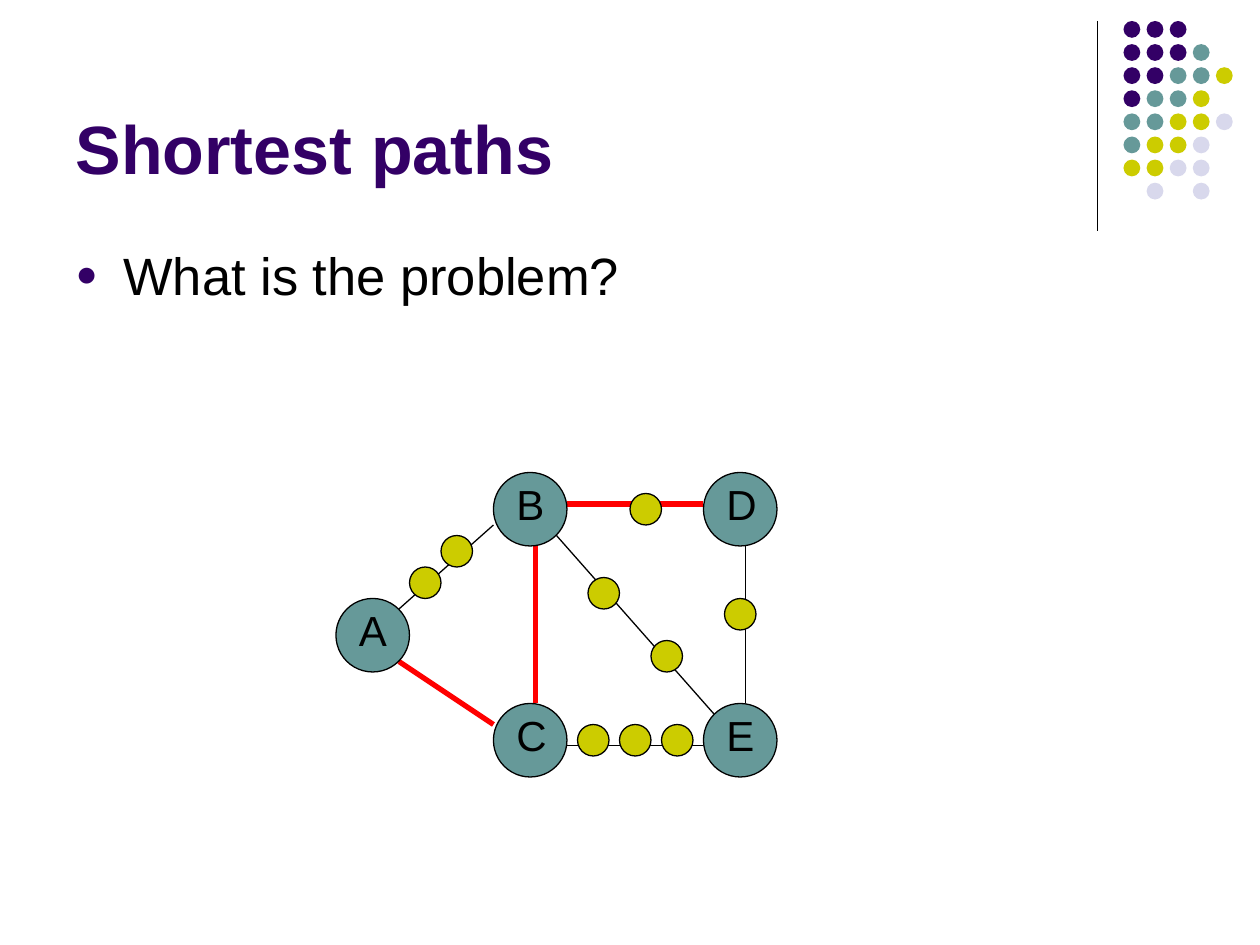
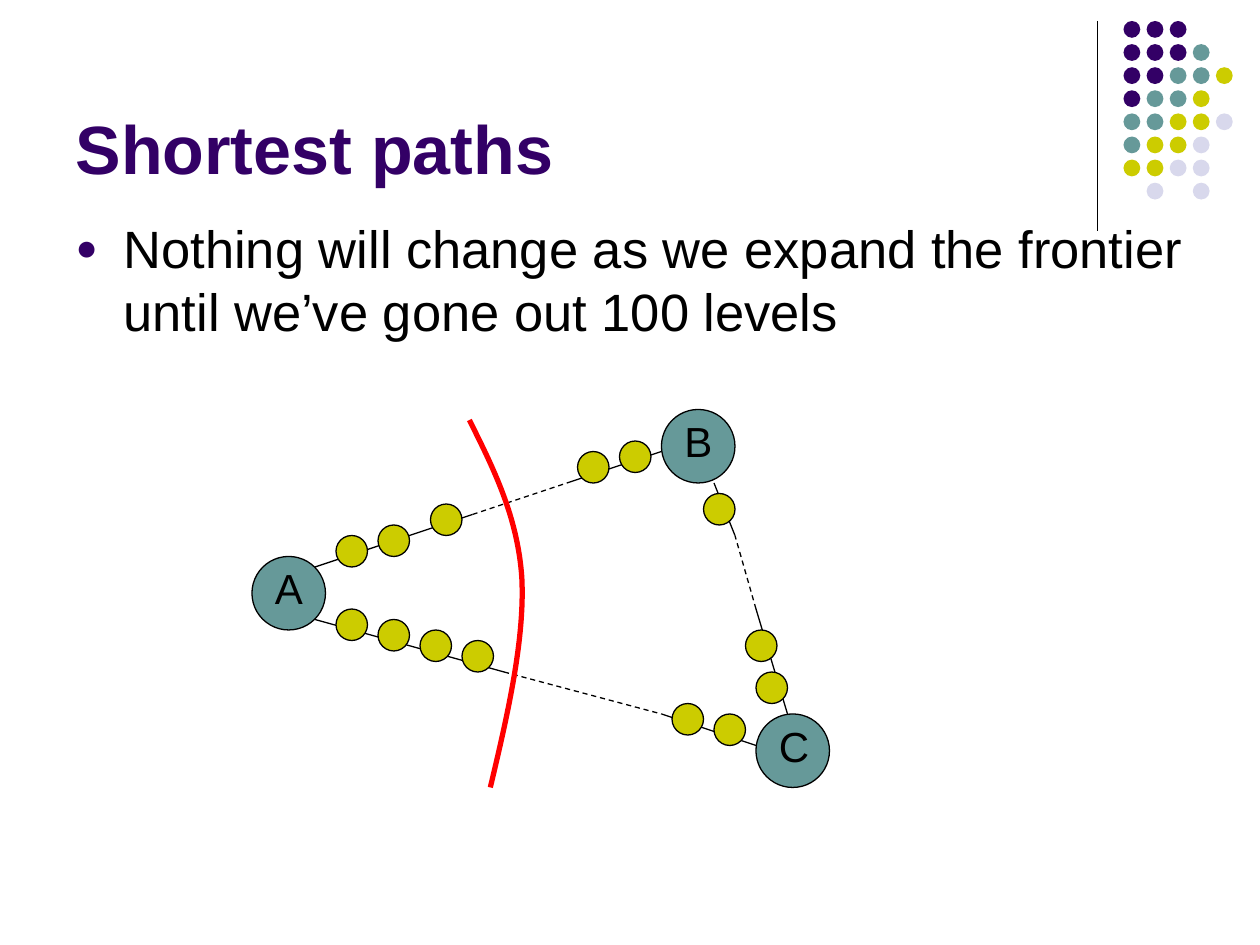
"""Builds two slides on shortest paths, laid out on a grid of twelfths of an inch."""
from dataclasses import dataclass
from typing import NamedTuple

from lxml import etree
from pptx import Presentation
from pptx.dml.color import RGBColor
from pptx.enum.dml import MSO_LINE
from pptx.enum.shapes import MSO_CONNECTOR, MSO_SHAPE
from pptx.enum.text import MSO_ANCHOR, MSO_AUTO_SIZE, PP_ALIGN
from pptx.oxml.ns import qn
from pptx.util import Emu, Inches, Pt

ELLIPSE = MSO_SHAPE.OVAL
STRAIGHT = MSO_CONNECTOR.STRAIGHT
DASH = MSO_LINE.DASH
BOTTOM, TOP = MSO_ANCHOR.BOTTOM, MSO_ANCHOR.TOP
LEFT = PP_ALIGN.LEFT
FIXED_SIZE = MSO_AUTO_SIZE.NONE


@dataclass(frozen=True)
class Theme:
    font: str = "Arial"
    purple: str = "330066"
    teal: str = "669999"
    yellow: str = "CCCC00"
    lavender: str = "D8D8EC"
    black: str = "000000"
    red: str = "FF0000"
    title_size: float = 39
    body_size: float = 30
    label_size: float = 24
    thin: float = 0.75
    thick: float = 3


class Box(NamedTuple):
    left: float
    top: float
    width: float
    height: float


class Node(NamedTuple):
    label: str
    column: float
    row: float


class Edge(NamedTuple):
    start: tuple
    end: tuple
    marked: bool = False
    dashed: bool = False


@dataclass(frozen=True)
class Graph:
    bullet: str
    body_box: Box
    nodes: tuple
    edges: tuple
    stops: tuple
    frontier: tuple = ()


THEME = Theme()
TITLE = "Shortest paths"
TITLE_BOX = Box(6, 1.5, 99, 17)
NODE_SIZE, STOP_SIZE = 7, 3
LABEL_SIZE = 6
DOT_ROWS = ("PPP", "PPPT", "PPTTY", "PTTY", "TTYYL", "TYYL", "YYLL", " L L")
DOT_COLORS = {"P": THEME.purple, "T": THEME.teal, "Y": THEME.yellow, "L": THEME.lavender}
DOT_LEFT, DOT_TOP, DOT_PITCH, DOT_SIZE = 107, 2, 2.2, 1.6
BAND_EDGE = Edge((104.5, 2), (104.5, 22))

GRAPHS = (
    Graph(
        bullet="What is the problem?",
        body_box=Box(6, 22.5, 108, 10.5),
        nodes=(Node("A", 32, 57), Node("B", 47, 45), Node("C", 47, 67),
               Node("E", 67, 67), Node("D", 67, 45)),
        edges=(
            Edge((38, 58), (47, 50)),
            Edge((38, 63), (47, 69), marked=True),
            Edge((54, 71), (67, 71)),
            Edge((71, 67), (71, 52)),
            Edge((51, 67), (51, 52), marked=True),
            Edge((54, 48), (67, 48), marked=True),
            Edge((53, 51), (68, 68)),
        ),
        stops=((42, 51), (56, 55), (62, 61), (69, 57), (60, 47),
               (55, 69), (59, 69), (63, 69), (39, 54)),
    ),
    Graph(
        bullet="Nothing will change as we expand the frontier until we’ve gone out 100 levels",
        body_box=Box(6, 20, 108, 16),
        nodes=(Node("A", 24, 53), Node("B", 63, 39), Node("C", 72, 68)),
        edges=(
            Edge((30, 54), (45, 49)),
            Edge((45, 49), (54, 46), dashed=True),
            Edge((54, 46), (63, 43)),
            Edge((30, 59), (48, 64)),
            Edge((48, 64), (63, 68), dashed=True),
            Edge((63, 68), (72, 71)),
            Edge((70, 51), (68, 46)),
            Edge((72, 58), (70, 51), dashed=True),
            Edge((72, 58), (75, 68)),
        ),
        stops=((32, 51), (36, 50), (41, 48), (55, 43), (59, 42),
               (32, 58), (36, 59), (40, 60), (44, 61), (64, 67),
               (68, 68), (72, 64), (71, 60), (67, 47)),
        frontier=((44.7, 40), (47, 44.6), (49.3, 49.2), (49.7, 55),
                  (50, 60.8), (48.4, 67.9), (46.7, 75)),
    ),
)


def grid(units: float) -> Emu:
    """Turn grid units into a length."""
    return Inches(units / 12)


def place(shape, box: Box) -> None:
    """Move and size a shape on the grid."""
    shape.left, shape.top, shape.width, shape.height = map(grid, box)


def style_line(line, color: str, width: float) -> None:
    """Set the colour and width of a line."""
    line.color.rgb = RGBColor.from_string(color)
    line.width = Pt(width)


def write(frame, text: str, size: float, color: str, bold: bool = False):
    """Fill a text frame with one formatted paragraph and return it."""
    frame.text = text
    para = frame.paragraphs[0]
    para.alignment = LEFT
    for span in para.runs:
        span.font.name = THEME.font
        span.font.size = Pt(size)
        span.font.bold = bold
        span.font.color.rgb = RGBColor.from_string(color)
    return para


def add_circle(shapes, column: float, row: float, size: float, color: str, outlined: bool = True):
    """Draw a filled circle."""
    circle = shapes.add_shape(ELLIPSE, *map(grid, (column, row, size, size)))
    circle.shadow.inherit = False
    circle.fill.solid()
    circle.fill.fore_color.rgb = RGBColor.from_string(color)
    if outlined:
        style_line(circle.line, THEME.black, THEME.thin)
    else:
        circle.line.fill.background()
    return circle


def add_edge(shapes, edge: Edge):
    """Draw a straight edge."""
    connector = shapes.add_connector(STRAIGHT, *map(grid, edge.start + edge.end))
    style_line(connector.line, THEME.red if edge.marked else THEME.black,
               THEME.thick if edge.marked else THEME.thin)
    if edge.dashed:
        connector.line.dash_style = DASH
    etree.SubElement(connector.element.spPr, qn("a:effectLst"))
    return connector


def add_node(shapes, node: Node) -> None:
    """Draw a labelled node as a group."""
    group = shapes.add_group_shape()
    add_circle(group.shapes, node.column, node.row, NODE_SIZE, THEME.teal)
    label = group.shapes.add_textbox(
        *map(grid, (node.column + 1, node.row, LABEL_SIZE, LABEL_SIZE)))
    label.text_frame.word_wrap = True
    write(label.text_frame, node.label, THEME.label_size, THEME.black)


def add_frontier(shapes, points: tuple) -> None:
    """Draw a smooth open curve through cubic segments."""
    spots = [(grid(column), grid(row)) for column, row in points]
    builder = shapes.build_freeform(*spots[0])
    builder.add_line_segments(spots[3::3], close=False)
    curve = builder.convert_to_shape()
    curve.shadow.inherit = False
    curve.fill.background()
    style_line(curve.line, THEME.red, THEME.thick)
    for index, segment in enumerate(list(curve.element.iter(qn("a:lnTo")))):
        cubic = etree.Element(qn("a:cubicBezTo"))
        for x, y in spots[3 * index + 1:3 * index + 4]:
            etree.SubElement(cubic, qn("a:pt"), x=str(x - curve.left), y=str(y - curve.top))
        segment.getparent().replace(segment, cubic)


def add_bullet(para) -> None:
    """Give a paragraph a hanging round bullet."""
    para.space_before = Pt(7.5)
    properties = para._p.get_or_add_pPr()
    properties.set("marL", str(Inches(0.38)))
    properties.set("indent", str(-Inches(0.38)))
    color = etree.SubElement(properties, qn("a:buClr"))
    etree.SubElement(color, qn("a:srgbClr"), val=THEME.purple)
    etree.SubElement(properties, qn("a:buSzPct"), val="70000")
    etree.SubElement(properties, qn("a:buFont"), typeface=THEME.font)
    etree.SubElement(properties, qn("a:buChar"), char="●")


def decorate_layout(layout, page) -> None:
    """Put the dot pattern and the vertical rule on the shared layout."""
    for holder in list(layout.placeholders):
        if holder.placeholder_format.idx >= 10:
            holder.element.getparent().remove(holder.element)
    parts = [add_edge(page.shapes, BAND_EDGE)]
    for row, pattern in enumerate(DOT_ROWS):
        for column, key in enumerate(pattern):
            if key in DOT_COLORS:
                parts.append(add_circle(
                    page.shapes, DOT_LEFT + column * DOT_PITCH, DOT_TOP + row * DOT_PITCH,
                    DOT_SIZE, DOT_COLORS[key], outlined=False))
    for part in parts:
        layout.shapes.element.append(part.element)


def fill_page(page, graph: Graph) -> None:
    """Write the title and the bullet, then draw the graph."""
    title, body = page.shapes.title, page.placeholders[1]
    for holder, box, anchor in ((title, TITLE_BOX, BOTTOM), (body, graph.body_box, TOP)):
        place(holder, box)
        holder.text_frame.auto_size = FIXED_SIZE
        holder.text_frame.vertical_anchor = anchor
    write(title.text_frame, TITLE, THEME.title_size, THEME.purple, bold=True)
    add_bullet(write(body.text_frame, graph.bullet, THEME.body_size, THEME.black))
    for edge in graph.edges:
        add_edge(page.shapes, edge)
    for node in graph.nodes:
        add_node(page.shapes, node)
    for column, row in graph.stops:
        add_circle(page.shapes, column, row, STOP_SIZE, THEME.yellow)
    if graph.frontier:
        add_frontier(page.shapes, graph.frontier)


def main() -> None:
    """Build and save the deck."""
    deck = Presentation()
    deck.slide_width, deck.slide_height = Inches(10), Inches(7.5)
    layout = deck.slide_layouts[1]
    pages = [deck.slides.add_slide(layout) for _ in GRAPHS]
    decorate_layout(layout, pages[0])
    for page, graph in zip(pages, GRAPHS):
        fill_page(page, graph)
    deck.save("out.pptx")


if __name__ == "__main__":
    main()
